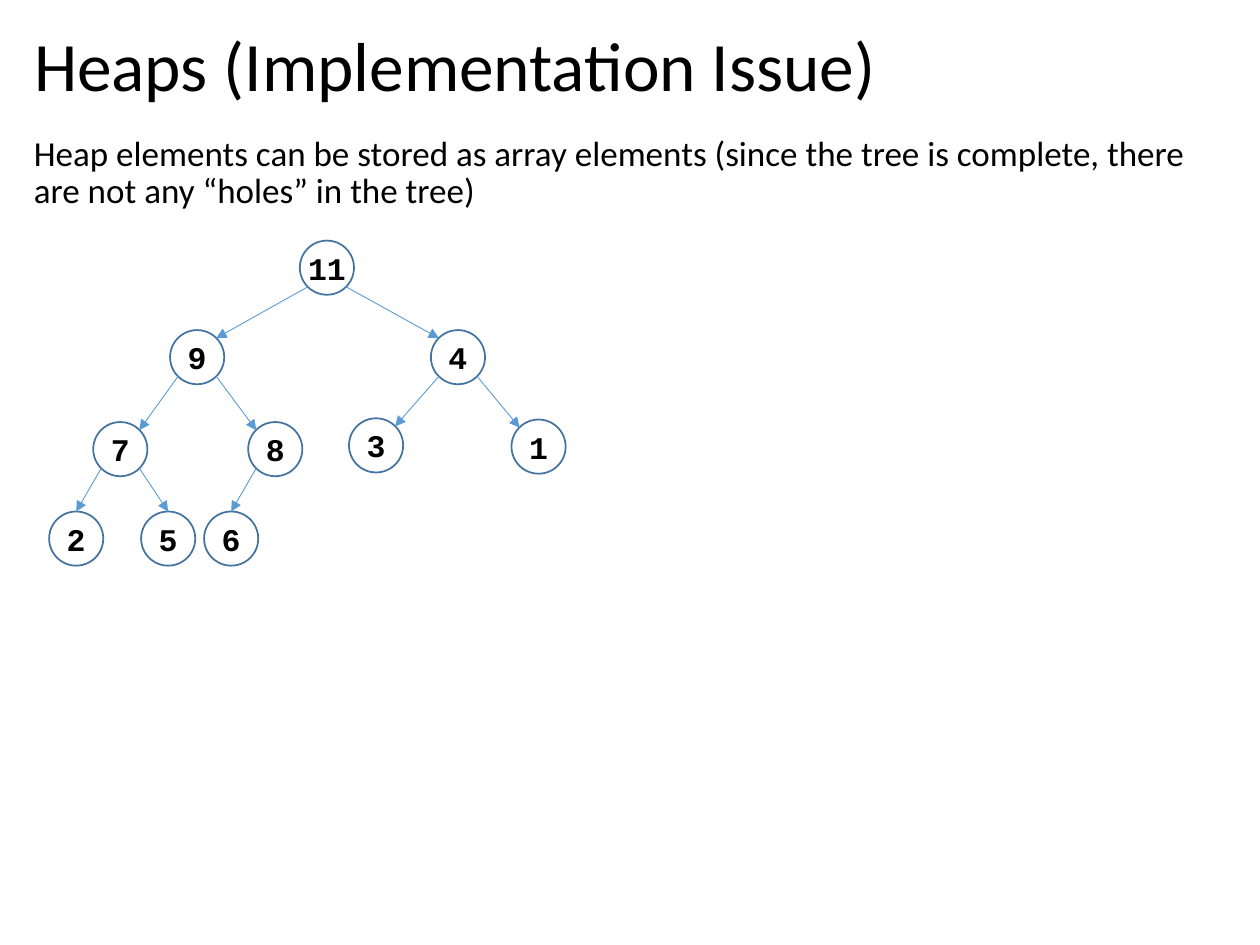
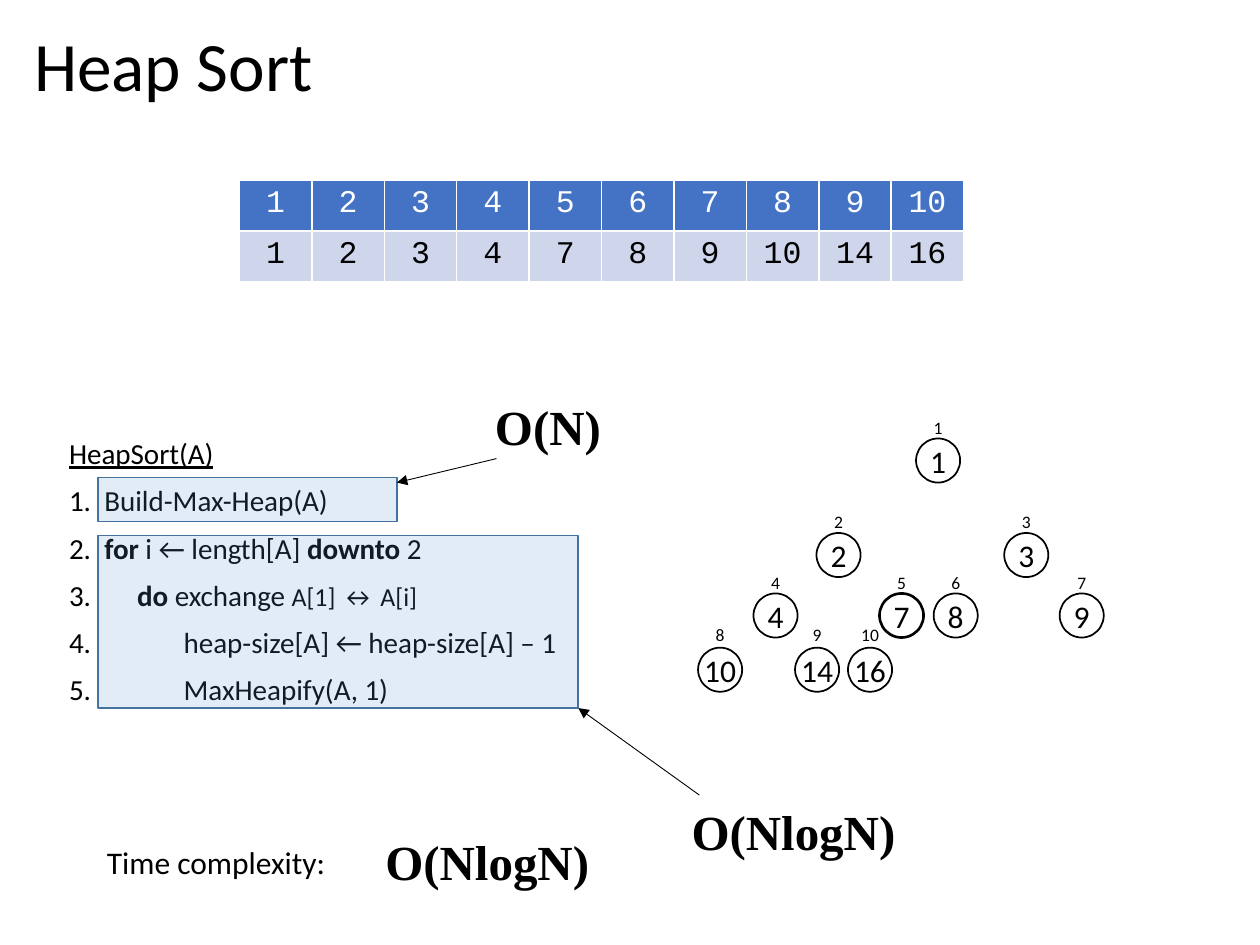
from dataclasses import dataclass

from lxml import etree
from pptx import Presentation
from pptx import util as u
from pptx.dml.color import RGBColor
from pptx.enum import shapes, text
from pptx.oxml import ns

COLORS = {
    "black": "000000", "white": "FFFFFF", "code": "010000",
    "node_line": "43739E", "edge": "5B9BD5", "highlight": "5B9BD5",
    "header": "4472C4", "row": "CFD5EA",
}
SANS, MONO, SERIF = "Calibri", "Courier New", "Times New Roman"
COLUMNS, ROWS, CELL = 100, 75, u.Inches(0.1)
DIAGONAL = 0.35
CENTER = text.PP_ALIGN.CENTER


@dataclass
class Box:
    x: float
    y: float
    w: float
    h: float

    def inner(self, x, y, w, h):
        return Box(self.x + x, self.y + y, w, h)

    @property
    def center(self):
        return self.x + self.w / 2, self.y + self.h / 2

    def emu(self):
        return [cells(v) for v in (self.x, self.y, self.w, self.h)]


def cells(value):
    return int(value * CELL)


def rgb(name):
    return RGBColor.from_string(COLORS[name])


def add_xml(parent, tag, **attrs):
    return etree.SubElement(parent, ns.qn(tag), attrs)


def style_runs(p, size, font=SANS, color="black", bold=False):
    for r in p.runs:
        r.font.size = u.Pt(size)
        r.font.name = font
        r.font.bold = bold
        r.font.color.rgb = rgb(color)


def add_text(parent, box, content, size, font=SANS, bold=False, align=None, wrap=False):
    sp = parent.shapes.add_textbox(*box.emu())
    tf = sp.text_frame
    tf.word_wrap = wrap
    tf.text = content
    tf.paragraphs[0].alignment = align
    style_runs(tf.paragraphs[0], size, font, bold=bold)
    return tf.paragraphs[0]


def add_outlined(parent, kind, box, color, width=1):
    sp = parent.shapes.add_shape(kind, *box.emu())
    sp.shadow.inherit = False
    sp.fill.background()
    sp.line.color.rgb = rgb(color)
    sp.line.width = u.Pt(width)
    return sp


def add_node(parent, box, value, font, color, bold=False, width=1):
    sp = add_outlined(parent, shapes.MSO_SHAPE.OVAL, box, color, width)
    tf = sp.text_frame
    tf.margin_left = tf.margin_right = tf.margin_top = tf.margin_bottom = 0
    tf.vertical_anchor = text.MSO_ANCHOR.MIDDLE
    tf.word_wrap = False
    tf.text = str(value)
    tf.paragraphs[0].alignment = CENTER
    style_runs(tf.paragraphs[0], 18, font, bold=bold)


def add_arrow(parent, start, end, color="black"):
    line = parent.shapes.add_connector(
        shapes.MSO_CONNECTOR.STRAIGHT, *map(cells, (*start, *end)))
    line.line.color.rgb = rgb(color)
    line.line.width = u.Pt(0.5)
    add_xml(line.line._get_or_add_ln(), "a:tailEnd", type="triangle")
    add_xml(line._element.spPr, "a:effectLst")


def add_titled_slide(prs, title):
    s = prs.slides.add_slide(prs.slide_layouts[5])
    sp = s.shapes.title
    sp.left, sp.top, sp.width, sp.height = Box(1.7, 1.8, 96.2, 7.4).emu()
    tf = sp.text_frame
    tf.text = title
    tf.auto_size = text.MSO_AUTO_SIZE.NONE
    tf.vertical_anchor = text.MSO_ANCHOR.MIDDLE
    p = tf.paragraphs[0]
    p.alignment = text.PP_ALIGN.LEFT
    p.line_spacing = 0.9
    style_runs(p, 39.6)
    return s


def add_linked_heap(s, box, size, nodes):
    group = s.shapes.add_group_shape()
    places = [box.inner(x, y, size, size) for _, x, y in nodes]
    for (value, _, _), place in zip(nodes, places):
        add_node(group, place, value, MONO, "node_line", bold=True)
    reach = size * DIAGONAL
    for child in range(1, len(nodes)):
        side = -1 if child % 2 else 1
        px, py = places[(child - 1) // 2].center
        cx, cy = places[child].center
        if child < 7:
            end = cx - side * reach, cy - reach
        else:
            end = cx, cy - size / 2
        add_arrow(group, (px + side * reach, py + reach), end, "edge")


def add_numbered_heap(s, box, size, levels, bold_value):
    group = s.shapes.add_group_shape()
    label_w, index = 3.5, 0
    for y, label_rise, nodes in levels:
        for value, x in nodes:
            index += 1
            width = 1.5 if value == bold_value else 1
            add_node(group, box.inner(x, y, size, size), value, SANS, "black", width=width)
            label = box.inner(x + (size - label_w) / 2, y - label_rise, label_w, 2.7)
            add_text(group, label, str(index), 10, align=CENTER)


def add_array_table(s, box, values):
    rows = [("header", "white", range(1, len(values) + 1)), ("row", "black", values)]
    table = s.shapes.add_table(len(rows), len(values), *box.emu()).table
    for column in table.columns:
        column.width = cells(box.w / len(values))
    for i, (fill, color, row) in enumerate(rows):
        table.rows[i].height = cells(box.h / len(rows))
        for j, value in enumerate(row):
            cell = table.cell(i, j)
            cell.text = str(value)
            p = cell.text_frame.paragraphs[0]
            p.alignment = CENTER
            style_runs(p, 18, MONO, color)
            tc_pr = cell._tc.get_or_add_tcPr()
            for side in ("a:lnL", "a:lnR", "a:lnT", "a:lnB"):
                ln = add_xml(tc_pr, side, w=str(u.Pt(1)))
                add_xml(add_xml(ln, "a:solidFill"), "a:srgbClr", val=COLORS["white"])
            cell.fill.solid()
            cell.fill.fore_color.rgb = rgb(fill)


def add_code(s, box, heading, lines):
    tf = s.shapes.add_textbox(*box.emu()).text_frame
    tf.word_wrap = True
    tf.text = heading
    for number, (indent, parts) in enumerate(lines, 1):
        p = tf.add_paragraph()
        p.text = f"{number}.\t"
        for part in parts:
            p.add_run().text = part.strip("*")
        style_runs(p, 16.6, color="code")
        for r, part in zip(p.runs[1:], parts):
            if part.startswith("*"):
                r.font.bold = True
            elif "↔" in part:
                r.font.size = u.Pt(14.8)
        p_pr = p._p.get_or_add_pPr()
        p_pr.set("marL", str(cells(indent)))
        p_pr.set("indent", str(-cells(indent)))
    style_runs(tf.paragraphs[0], 16.6, color="code")
    tf.paragraphs[0].runs[0].font.underline = True
    for p in tf.paragraphs:
        p.line_spacing = 0.9
        p.space_before = u.Pt(9)


def add_highlight(s, box):
    sp = add_outlined(s, shapes.MSO_SHAPE.RECTANGLE, box, "node_line")
    sp.fill.solid()
    sp.fill.fore_color.rgb = rgb("highlight")
    color = sp._element.spPr.find(ns.qn("a:solidFill"))[0]
    add_xml(color, "a:alpha", val="18000")


def add_cost(s, box, cost):
    add_text(s, box, cost, 28, SERIF, bold=True)


def add_analysis(s, box):
    add_code(s, box.inner(0, 3.4, 58.3, 24.2), "HeapSort(A)", [
        (2.8, ["Build-Max-Heap(A)"]),
        (2.8, ["*for ", "i ← length[A] ", "*downto", " 2"]),
        (5.4, ["*do", " exchange ", "A[1] ↔ A[i]"]),
        (9.1, ["heap-size[A] ← heap-size[A] – 1"]),
        (9.1, ["MaxHeapify(A, 1)"]),
    ])
    loop = box.inner(3.3, 11.5, 38.1, 13.7)
    build = box.inner(3.3, 6.9, 23.7, 3.5)
    add_highlight(s, loop)
    add_highlight(s, build)
    add_cost(s, box.inner(33.8, 0, 10.5, 5.7), "O(N)")
    add_cost(s, box.inner(49.4, 32.1, 18.4, 5.7), "O(NlogN)")
    add_arrow(s, (box.x + 34.9, box.y + 5.4), (build.x + build.w, build.y + 0.4))
    add_arrow(s, (box.x + 51, box.y + 32.1), (loop.x + loop.w, loop.y + loop.h))
    add_text(s, box.inner(3, 35.4, 40, 4), "Time complexity:", 18, wrap=True)
    add_cost(s, box.inner(25.1, 34.5, 18.4, 5.7), "O(NlogN)")


def build_implementation(prs):
    s = add_titled_slide(prs, "Heaps (Implementation Issue)")
    add_linked_heap(s, Box(3.9, 19.1, 41, 25.8), 4.3, [
        (11, 19.9, 0), (9, 9.6, 7.1), (4, 30.3, 7.1),
        (7, 3.5, 14.4), (8, 15.8, 14.4), (3, 23.8, 14.1), (1, 36.7, 14.2),
        (2, 0, 21.5), (5, 7.3, 21.5), (6, 12.3, 21.5),
    ])
    p = add_text(s, Box(1.7, 10.3, 96.2, 57.3),
                 "Heap elements can be stored as array elements (since the tree is complete, "
                 "there are not any “holes” in the tree)", 20, wrap=True)
    p.line_spacing = 0.9
    p.space_before = u.Pt(10)


def build_heap_sort(prs):
    s = add_titled_slide(prs, "Heap Sort")
    add_array_table(s, Box(19, 14.3, 57.5, 8.1), [1, 2, 3, 4, 7, 8, 9, 10, 14, 16])
    add_analysis(s, Box(4.5, 31, 68, 41))
    add_numbered_heap(s, Box(55.4, 34.8, 32.2, 20.1), 3.5, [
        (0, 2.2, [(1, 17.3)]),
        (7.5, 2.2, [(2, 9.4), (3, 24.3)]),
        (12.3, 2.2, [(4, 4.4), (7, 14.4), (8, 18.7), (9, 28.7)]),
        (16.6, 2.4, [(10, 0), (14, 7.7), (16, 11.9)]),
    ], bold_value=7)


def main():
    prs = Presentation()
    prs.slide_width, prs.slide_height = COLUMNS * CELL, ROWS * CELL
    build_implementation(prs)
    build_heap_sort(prs)
    prs.save("out.pptx")


if __name__ == "__main__":
    main()
